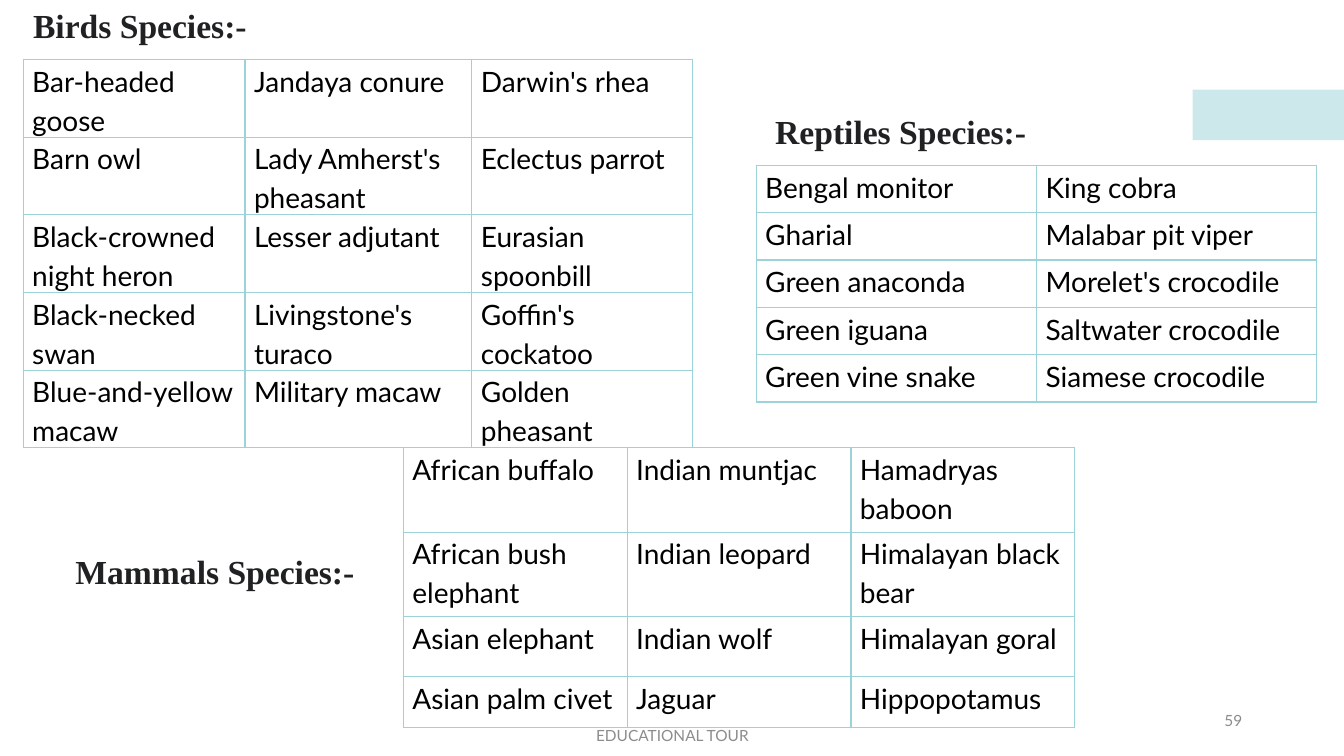
from dataclasses import dataclass

from lxml.etree import SubElement
from pptx import Presentation
from pptx.dml.color import RGBColor as Color
from pptx.enum.shapes import MSO_SHAPE as Shape
from pptx.enum.text import MSO_ANCHOR as Anchor, PP_ALIGN as Align
from pptx.oxml import parse_xml
from pptx.oxml.ns import nsdecls, qn
from pptx.util import Inches, Pt


@dataclass(frozen=True)
class Theme:
    """Colours, fonts and type sizes of the slide."""
    accent: str = "9CD3D9"
    heading_color: str = "202122"
    body_color: str = "000000"
    footer_color: str = "8C8C8C"
    heading_font: str = "Times New Roman"
    body_font: str = "Lato"
    heading_size: int = 24
    body_size: int = 20
    footer_size: int = 11


class SpeciesSlide:
    """Draws the elements of one slide in a given theme."""

    def __init__(self, slide, theme):
        self.slide = slide
        self.theme = theme

    def styled_run(self, paragraph, text, font, size, color, bold=False):
        """Add one styled run to a paragraph."""
        run = paragraph.add_run()
        run.text = text
        run.font.name = font
        run.font.size = Pt(size)
        run.font.bold = bold
        run.font.color.rgb = Color.from_string(color)

    def accent_bar(self, left, top, width, height):
        """Add the half-transparent bar at the slide edge."""
        bar = self.slide.shapes.add_shape(
            Shape.RECTANGLE, Inches(left), Inches(top), Inches(width), Inches(height))
        bar.shadow.inherit = False
        bar.line.fill.background()
        bar.fill.solid()
        bar.fill.fore_color.rgb = Color.from_string(self.theme.accent)
        tint = bar.element.spPr.find(qn("a:solidFill"))[0]
        SubElement(tint, qn("a:alpha"), val="50000")

    def text_box(self, left, top, width, height, anchor):
        """Add an empty wrapping text box and return its first paragraph."""
        box = self.slide.shapes.add_textbox(
            Inches(left), Inches(top), Inches(width), Inches(height))
        box.text_frame.word_wrap = True
        box.text_frame.vertical_anchor = anchor
        return box.text_frame.paragraphs[0]

    def heading(self, text, left, top, width):
        """Add the bold title of a species group."""
        theme = self.theme
        paragraph = self.text_box(left, top, width, 0.5, Anchor.TOP)
        self.styled_run(paragraph, text, theme.heading_font, theme.heading_size,
                        theme.heading_color, bold=True)

    def footer(self, text, left, top, width, align):
        """Add a small grey footer text."""
        theme = self.theme
        paragraph = self.text_box(left, top, width, 0.4, Anchor.MIDDLE)
        paragraph.alignment = align
        self.styled_run(paragraph, text, theme.body_font, theme.footer_size,
                        theme.footer_color)

    def species_table(self, left, top, widths, heights, species):
        """Add a bordered table with one species per cell."""
        table = self.slide.shapes.add_table(
            len(heights), len(widths), Inches(left), Inches(top),
            Inches(sum(widths)), Inches(sum(heights))).table
        table.first_row = table.horz_banding = False
        for column, width in zip(table.columns, widths):
            column.width = Inches(width)
        for row, height, names in zip(table.rows, heights, species):
            row.height = Inches(height)
            for cell, name in zip(row.cells, names):
                self.species_cell(cell, name)

    def species_cell(self, cell, name):
        """Fill in and outline one table cell."""
        theme = self.theme
        cell.margin_left = cell.margin_right = Inches(0.07)
        cell.margin_top = cell.margin_bottom = 0
        cell.fill.background()
        for position, side in enumerate("LRTB"):
            border = parse_xml(
                f'<a:ln{side} {nsdecls("a")} w="{Pt(1)}"><a:solidFill>'
                f'<a:srgbClr val="{theme.accent}"/></a:solidFill></a:ln{side}>')
            cell._tc.get_or_add_tcPr().insert(position, border)
        paragraph = cell.text_frame.paragraphs[0]
        paragraph.line_spacing = 1.15
        paragraph.space_after = Pt(1.2)
        paragraph._p.get_or_add_pPr().set("marL", str(Inches(0.02)))
        self.styled_run(paragraph, name, theme.body_font, theme.body_size, theme.body_color)


BIRDS = [
    ("Bar-headed goose", "Jandaya conure", "Darwin's rhea"),
    ("Barn owl", "Lady Amherst's pheasant", "Eclectus parrot"),
    ("Black-crowned night heron", "Lesser adjutant", "Eurasian spoonbill"),
    ("Black-necked swan", "Livingstone's turaco", "Goffin's cockatoo"),
    ("Blue-and-yellow macaw", "Military macaw", "Golden pheasant"),
]
MAMMALS = [
    ("African buffalo", "Indian muntjac", "Hamadryas baboon"),
    ("African bush elephant", "Indian leopard", "Himalayan black bear"),
    ("Asian elephant", "Indian wolf", "Himalayan goral"),
    ("Asian palm civet", "Jaguar", "Hippopotamus"),
]
REPTILES = [
    ("Bengal monitor", "King cobra"),
    ("Gharial", "Malabar pit viper"),
    ("Green anaconda", "Morelet's crocodile"),
    ("Green iguana", "Saltwater crocodile"),
    ("Green vine snake", "Siamese crocodile"),
]


def main():
    """Build and save the slide."""
    deck = Presentation()
    deck.slide_width, deck.slide_height = Inches(13.33), Inches(7.5)
    page = SpeciesSlide(deck.slides.add_slide(deck.slide_layouts[6]), Theme())
    page.accent_bar(11.83, 0.89, 1.5, 0.5)
    page.species_table(0.23, 0.59, [2.2, 2.25, 2.19], [0.77] * len(BIRDS), BIRDS)
    page.footer("EDUCATIONAL TOUR", 4.42, 7.1, 4.5, Align.CENTER)
    page.footer("59", 9.42, 6.95, 3, Align.RIGHT)
    page.species_table(4, 4.44, [2.22] * 3, [0.84, 0.84, 0.59, 0.51], MAMMALS)
    page.species_table(7.5, 1.64, [2.78] * 2, [0.47] * len(REPTILES), REPTILES)
    page.heading("Birds Species:-", 0.23, 0, 3)
    page.heading("Reptiles Species:-", 7.59, 1.05, 3.34)
    page.heading("Mammals Species:-", 0.65, 5.42, 3.2)
    deck.save("out.pptx")


if __name__ == "__main__":
    main()
